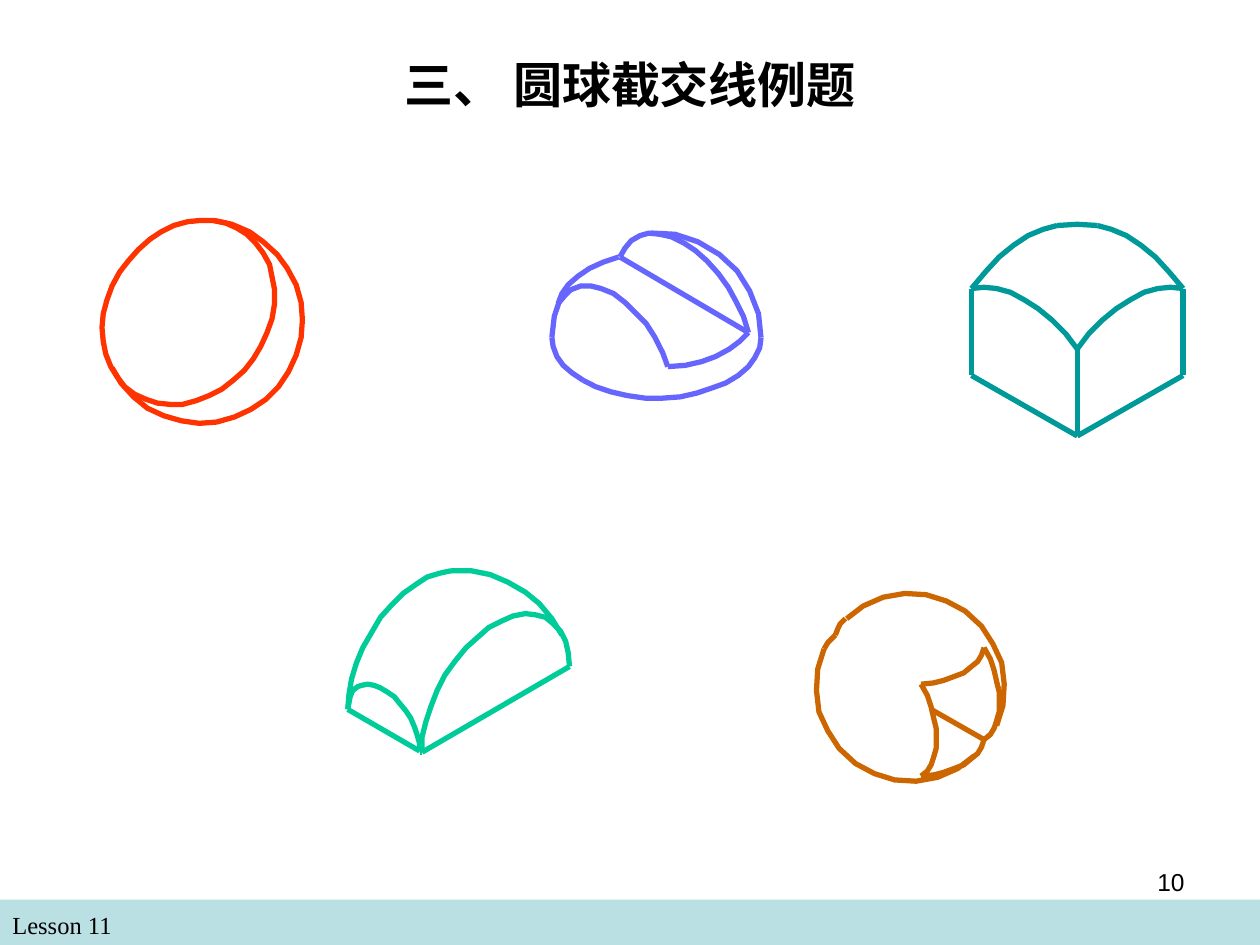
from lxml import etree
from pptx import Presentation
from pptx.dml.color import RGBColor
from pptx.enum.shapes import MSO_CONNECTOR, MSO_SHAPE
from pptx.enum.text import MSO_ANCHOR, PP_ALIGN
from pptx.oxml.ns import qn
from pptx.util import Inches, Pt

STRAIGHT = MSO_CONNECTOR.STRAIGHT
RECTANGLE = MSO_SHAPE.RECTANGLE
MIDDLE = MSO_ANCHOR.MIDDLE
LEFT, CENTER, RIGHT = PP_ALIGN.LEFT, PP_ALIGN.CENTER, PP_ALIGN.RIGHT
UNIT = Inches(0.01)
COLORS = {"ink": "000000", "band": "BBE0E3", "disc": "FF3300", "dome": "6666FF",
          "corner": "009999", "quarter": "00CC99", "notch": "CC6600"}


def color(name):
    """Return the named colour."""
    return RGBColor.from_string(COLORS[name])


def shift(points, across, down):
    """Move points by a fixed offset."""
    return [(x + across, y + down) for x, y in points]


def mirror(points, width):
    """Reflect points left to right in a box of the given width."""
    return [(width - x, y) for x, y in points]


def half_turn(points, width, height):
    """Rotate points by 180 degrees about the middle of their box."""
    return [(width - x, height - y) for x, y in points]


def draw_solid(page, left, top, name, strokes):
    """Draw strokes, in hundredths of an inch from the box corner, as one group."""
    left, top = Inches(left), Inches(top)
    group = page.shapes.add_group_shape()
    for points in strokes:
        if len(points) == 2:
            ends = [corner + n * UNIT for point in points
                    for corner, n in zip((left, top), point)]
            stroke = group.shapes.add_connector(STRAIGHT, *ends)
            etree.SubElement(stroke._element.spPr, qn("a:effectLst"))
        else:
            builder = group.shapes.build_freeform(*points[0], scale=UNIT)
            builder.add_line_segments(points[1:], close=False)
            stroke = builder.convert_to_shape(left, top)
            stroke.fill.background()
            stroke.shadow.inherit = False
        stroke.line.color.rgb = color(name)
        stroke.line.width = Pt(3)


def write(box, text, align, **formats):
    """Write one formatted line of text into a box."""
    box.text_frame.word_wrap = True
    para = box.text_frame.paragraphs[0]
    para.alignment = align
    span = para.add_run()
    span.text = text
    for key, value in formats.items():
        setattr(span.font, key, value)
    span.font.color.rgb = color("ink")
    return span


def add_title(page, left, top, width, height):
    """Place and format the title."""
    title = page.shapes.title
    place = {"left": left, "top": top, "width": width, "height": height}
    for key, value in place.items():
        setattr(title, key, Inches(value))
    title.text_frame.vertical_anchor = MIDDLE
    font = "Noto Sans CJK SC"
    span = write(title, "三、 圆球截交线例题", CENTER, name=font, size=Pt(28), bold=True)
    etree.SubElement(span.font._element, qn("a:ea"), typeface=font)


def add_footer(page, left, top, width, height):
    """Draw the footer band with the lesson name and the page number above it."""
    band = page.shapes.add_shape(RECTANGLE, *map(Inches, (left, top, width, height)))
    band.shadow.inherit = False
    band.fill.solid()
    band.fill.fore_color.rgb = color("band")
    band.line.fill.background()
    lesson = page.shapes.add_textbox(
        *map(Inches, (left, top + 0.03, 4.83, 0.34)))
    write(lesson, "Lesson 11", LEFT, name="Times New Roman", size=Pt(14))
    number = page.shapes.add_textbox(
        *map(Inches, (left + width - 2.83, top - 0.31, 2.33, 0.52)))
    write(number, "10", RIGHT, name="Arial", size=Pt(14))


def add_disc(page, left, top):
    """Draw the ball cut by one plane."""
    section = [
        (14, 41), (8, 52), (4, 63), (1, 74), (0, 85), (1, 96), (3, 106), (7, 116),
        (12, 124), (18, 132), (26, 138), (35, 142), (44, 145), (54, 146), (64, 146),
        (75, 143), (85, 139), (95, 134), (104, 127), (113, 119), (120, 110), (126, 100),
        (131, 89), (135, 78), (137, 66), (137, 55), (135, 45), (133, 35), (128, 26),
        (122, 18), (115, 11), (107, 6), (98, 2), (88, 0), (78, 0), (68, 1), (57, 4),
        (47, 9), (38, 15), (29, 23), (21, 32), (14, 41)]
    outline = [
        (8, 117), (15, 129), (25, 140), (36, 149), (49, 155), (63, 159), (77, 161),
        (91, 160), (105, 156), (118, 150), (130, 142), (140, 132), (148, 120),
        (154, 107), (158, 93), (159, 79), (158, 65), (154, 51), (147, 38), (139, 27),
        (128, 17), (117, 9), (103, 3), (89, 0)]
    draw_solid(page, left, top, "disc", [section, outline])


def add_dome(page, left, top):
    """Draw the half ball with a slot."""
    base_left = [(0, 83), (1, 90), (4, 98), (9, 105), (16, 111), (25, 117)]
    base_right = [
        (25, 117), (35, 122), (47, 126), (60, 129), (74, 131), (88, 131), (102, 130),
        (115, 127), (127, 123), (138, 119), (148, 113), (156, 106), (161, 99),
        (165, 91), (166, 83)]
    back_edge = [(53, 19), (41, 23), (30, 28), (21, 34), (13, 41), (8, 48), (5, 56)]
    slot_floor = [(92, 106), (106, 105), (119, 102), (130, 98), (141, 92), (149, 86),
                  (156, 79)]
    slot_line = [(54, 19), (156, 79)]
    slot_wall = [
        (156, 79), (152, 66), (146, 54), (140, 43), (132, 32), (123, 22), (114, 14),
        (105, 8), (95, 3), (86, 1), (77, 0), (70, 2), (63, 6), (58, 12), (54, 19)]
    front_arc = [
        (92, 106), (88, 95), (82, 83), (75, 72), (66, 63), (58, 55), (49, 48), (39, 44),
        (31, 42), (23, 42), (15, 45), (10, 50), (5, 56)]
    left_side = [(7, 51), (2, 66), (0, 83)]
    right_side = [(166, 83), (164, 64), (157, 46), (147, 30), (133, 17), (116, 7),
                  (98, 1), (79, 0)]
    draw_solid(page, left, top, "dome", [
        base_left, base_right, back_edge, slot_floor, slot_line, slot_wall, front_arc,
        left_side, right_side])


def add_corner(page, left, top):
    """Draw the symmetric block with a ball-shaped top."""
    half = [
        [(68, 1), (57, 4), (45, 9), (33, 17), (22, 26), (11, 38), (0, 51)],
        [(0, 120), (84, 168)],
        [(0, 51), (0, 120)],
        [(84, 99), (75, 87), (64, 76), (53, 67), (42, 60), (31, 54), (20, 51), (10, 50),
         (0, 51)]]
    middle = [[(84, 168), (84, 99)], [(100, 1), (84, 0), (68, 1)]]
    draw_solid(page, left, top, "corner",
               half + [mirror(stroke, 168) for stroke in half] + middle)


def add_quarter(page, left, top):
    """Draw the ball piece cut by two upright planes."""
    small_arc = [
        (57, 143), (57, 137), (55, 130), (53, 124), (50, 117), (46, 111), (41, 105),
        (37, 100), (31, 96), (26, 93), (21, 91), (16, 90), (11, 91), (8, 92), (4, 95),
        (2, 100), (1, 105), (0, 110)]
    large_arc = [
        (176, 76), (175, 65), (173, 56), (169, 48), (163, 42), (157, 37), (149, 35),
        (141, 34), (131, 36), (122, 40), (112, 45), (103, 53), (94, 61), (85, 72),
        (77, 83), (71, 95), (66, 108), (62, 120), (59, 132), (59, 144)]
    left_side = [
        (82, 0), (73, 2), (63, 5), (54, 11), (44, 18), (35, 27), (26, 37), (19, 49),
        (12, 61), (7, 73), (3, 86), (1, 98), (0, 110)]
    right_side = [(170, 51), (162, 38), (152, 26), (141, 17), (127, 9), (113, 3),
                  (98, 0), (82, 0)]
    edges = [[(57, 144), (59, 144)], [(0, 110), (57, 143)], [(59, 144), (176, 76)]]
    draw_solid(page, left, top, "quarter",
               edges + [small_arc, large_arc, left_side, right_side])


def add_notch(page, left, top):
    """Draw the ball with a notch in its side."""
    wall = [(83, 145), (88, 141), (91, 136), (93, 130), (95, 123), (95, 115), (95, 107),
            (93, 99), (91, 90), (88, 81), (83, 72)]
    rim = [(83, 72), (93, 71), (101, 69), (109, 66), (117, 63), (123, 58), (128, 54),
           (131, 49), (133, 43)]
    outline = [(6, 44), (1, 60), (0, 77), (2, 94), (9, 109), (18, 123), (31, 135),
               (46, 143), (62, 148), (79, 149), (96, 146), (112, 139), (125, 129)]
    lower_step = [(15, 33), (12, 36), (9, 39), (6, 44)]
    upper_step = [(23, 20), (19, 24), (17, 28), (15, 33)]
    draw_solid(page, left, top, "notch", [
        wall, shift(wall, 50, -29), rim, shift(rim, 0, 73), [(91, 92), (133, 116)],
        lower_step, upper_step, outline, half_turn(outline, 149, 149)])


def main():
    """Build and save the deck."""
    deck = Presentation()
    deck.slide_width, deck.slide_height = Inches(10), Inches(7.5)
    page = deck.slides.add_slide(deck.slide_layouts[5])
    add_footer(page, 0, 7.14, 10, 0.36)
    add_title(page, 0.75, 0.04, 8.5, 1.25)
    add_dome(page, 4.38, 1.85)
    add_notch(page, 6.48, 4.71)
    add_quarter(page, 2.76, 4.53)
    add_disc(page, 0.81, 1.75)
    add_corner(page, 7.71, 1.78)
    deck.save("out.pptx")


if __name__ == "__main__":
    main()
